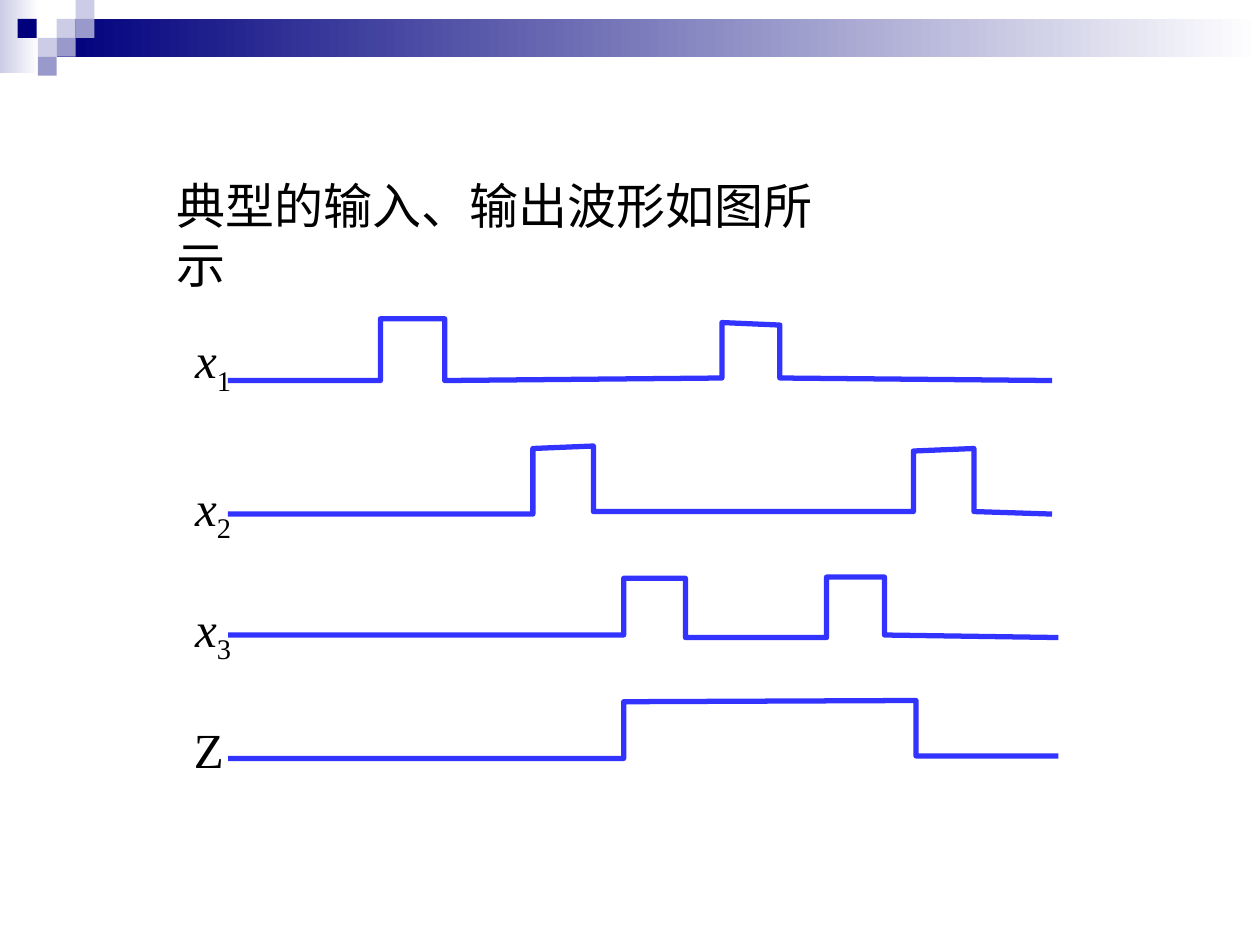
from dataclasses import dataclass

from pptx import Presentation
from pptx.dml.color import RGBColor
from pptx.enum.shapes import MSO_SHAPE
from pptx.enum.text import MSO_ANCHOR, MSO_AUTO_SIZE, PP_ALIGN
from pptx.util import Pt

RECTANGLE = MSO_SHAPE.RECTANGLE
TOP = MSO_ANCHOR.TOP
LEFT = PP_ALIGN.LEFT
NO_AUTO_SIZE = MSO_AUTO_SIZE.NONE
PX = 9144
TITLE_ONLY = 5


@dataclass(frozen=True)
class Theme:
    """Colours, font and type sizes of the slide."""
    navy: str = "00007D"
    violet: str = "9999CC"
    pale: str = "CCCCE6"
    white: str = "FFFFFF"
    ink: str = "000000"
    wave: str = "3333FF"
    font: str = "Times New Roman"
    text_size: int = 28
    wave_width: int = 3


THEME = Theme()
SIGNALS = [
    ("x", "1", (145, 257, 48, 63), (181, 302),
     [(0, 0), (121, 0), (121, -49), (172, -49), (172, 0), (392, -2),
      (392, -46), (438, -44), (438, -2), (654, 0)]),
    ("x", "2", (145, 374, 48, 63), (181, 408),
     [(0, 0), (242, 0), (242, -52), (290, -54), (290, -2), (544, -2),
      (544, -50), (592, -52), (592, -2), (654, 0)]),
    ("x", "3", (145, 470, 48, 63), (181, 504),
     [(0, 0), (314, 0), (314, -45), (363, -45), (363, 2), (475, 2),
      (475, -46), (521, -46), (521, 0), (659, 2)]),
    ("Z", "", (144, 566, 44, 57), (181, 602),
     [(0, 0), (314, 0), (314, -45), (546, -46), (546, -2), (659, -2)]),
]


def color(value):
    """Return the colour object for a hex value."""
    return RGBColor.from_string(value)


def emu(box):
    """Turn px lengths into EMU."""
    return [length * PX for length in box]


def add_block(shapes, box, *colors):
    """Add a rectangle with a solid fill or a left-to-right gradient."""
    block = shapes.add_shape(RECTANGLE, *emu(box))
    block.shadow.inherit = False
    block.line.fill.background()
    if len(colors) == 1:
        block.fill.solid()
        block.fill.fore_color.rgb = color(colors[0])
        return
    block.fill.gradient()
    block.fill.gradient_angle = 0
    for stop, value in zip(block.fill.gradient_stops, colors):
        stop.color.rgb = color(value)


def format_text(text_frame):
    """Apply the shared layout and type to a text frame."""
    text_frame.word_wrap = False
    text_frame.auto_size = NO_AUTO_SIZE
    text_frame.vertical_anchor = TOP
    paragraph = text_frame.paragraphs[0]
    paragraph.alignment = LEFT
    for run in paragraph.runs:
        run.font.name = THEME.font
        run.font.size = Pt(THEME.text_size)
        run.font.color.rgb = color(THEME.ink)


def add_banner(slide, box):
    """Add the gradient banner and its mosaic of squares."""
    left, top, width, height = box
    cell = height // 5
    shapes = slide.shapes.add_group_shape().shapes
    add_block(shapes, (left, top, 31, 58), THEME.pale, THEME.white)
    add_block(shapes, (left + 3 * cell, top + cell, width - 3 * cell, 2 * cell),
              THEME.navy, THEME.white)
    add_block(shapes, (left + 14, top + cell, cell, cell), THEME.navy)
    mosaic = {THEME.pale: [(3, 1), (4, 0), (2, 2)],
              THEME.violet: [(4, 1), (3, 2), (2, 3)]}
    for fill, cells in mosaic.items():
        for column, row in cells:
            add_block(shapes, (left + column * cell, top + row * cell, cell, cell), fill)


def add_title(slide, box, text):
    """Place the slide title."""
    title = slide.shapes.title
    title.left, title.top, title.width, title.height = emu(box)
    title.text_frame.text = text
    format_text(title.text_frame)


def add_signal(shapes, name, index, label_box, origin, points):
    """Add one waveform and its label."""
    left, top = origin
    builder = shapes.build_freeform(left, top, scale=PX)
    builder.add_line_segments([(left + x, top + y) for x, y in points[1:]], close=False)
    wave = builder.convert_to_shape()
    wave.shadow.inherit = False
    wave.fill.background()
    wave.line.color.rgb = color(THEME.wave)
    wave.line.width = Pt(THEME.wave_width)

    label = shapes.add_textbox(*emu(label_box))
    paragraph = label.text_frame.paragraphs[0]
    letter = paragraph.add_run()
    letter.text = name
    if index:
        letter.font.italic = True
        subscript = paragraph.add_run()
        subscript.text = index
        subscript.font._element.set("baseline", "-25000")
    format_text(label.text_frame)


def add_timing_diagram(slide, signals):
    """Add all waveforms as one group."""
    shapes = slide.shapes.add_group_shape().shapes
    for signal in signals:
        add_signal(shapes, *signal)


def main():
    """Build and save the slide."""
    presentation = Presentation()
    presentation.slide_width, presentation.slide_height = emu((1000, 750))
    slide = presentation.slides.add_slide(presentation.slide_layouts[TITLE_ONLY])
    add_banner(slide, (0, 0, 1000, 75))
    add_title(slide, (130, 134, 563, 57), "典型的输入、输出波形如图所示")
    add_timing_diagram(slide, SIGNALS)
    presentation.save("out.pptx")


if __name__ == "__main__":
    main()
